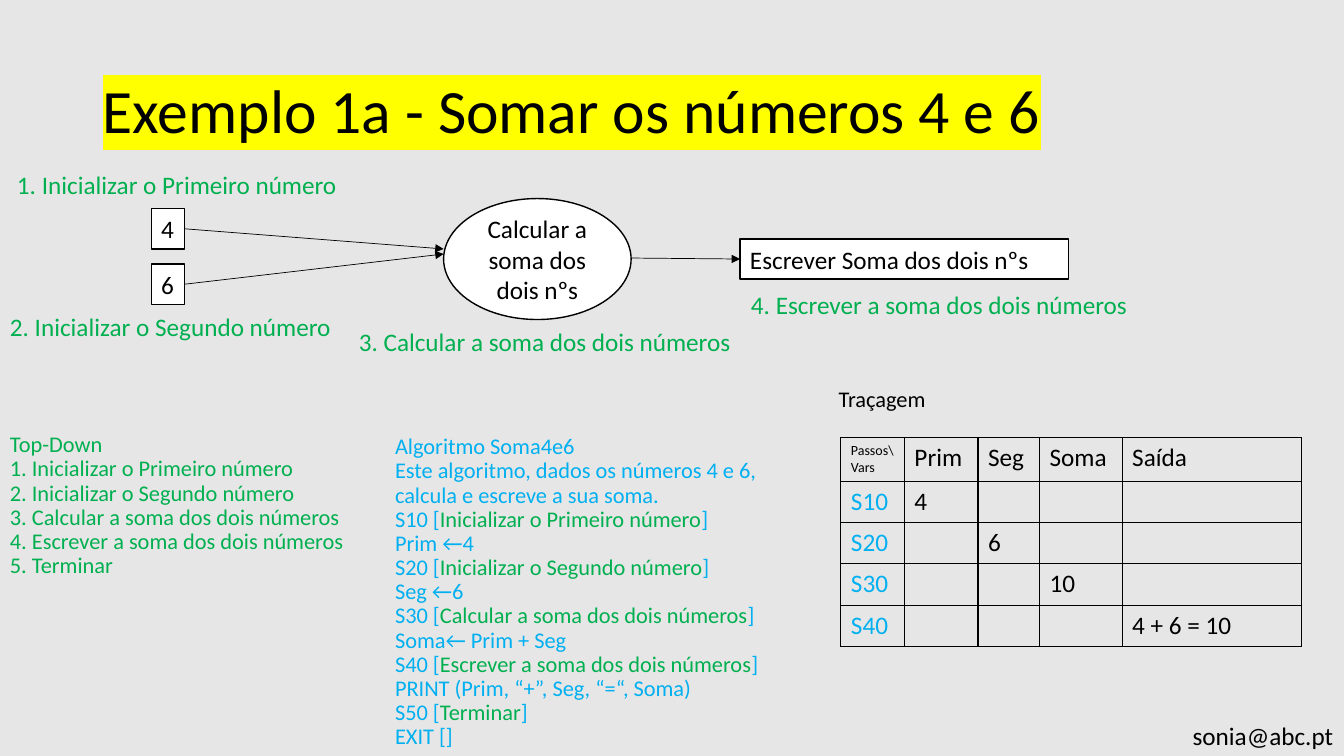
from dataclasses import dataclass
from lxml import etree
from pptx import Presentation, util as u
from pptx.dml.color import RGBColor
from pptx.enum import shapes, text
from pptx.oxml import ns


@dataclass(frozen=True)
class Theme:
    font: str = "Calibri"
    background: str = "E7E6E6"
    black: str = "000000"
    white: str = "FFFFFF"
    green: str = "00B050"
    blue: str = "00B0F0"
    yellow: str = "FFFF00"
    title: int = 44
    normal: int = 18
    small: int = 16
    tiny: int = 10


THEME = Theme()
WIDTH, HEIGHT = 13.33, 7.5


def add_xml(parent, tag, **attributes):
    return etree.SubElement(parent, ns.qn(tag), attributes)


def write(frame, paragraphs, size=THEME.normal, color=THEME.black, align=text.PP_ALIGN.LEFT,
          spacing=None, before=None, highlight=None):
    """Fill a frame; a paragraph is a string or a list of (string, color) runs."""
    for index, content in enumerate(paragraphs):
        paragraph = frame.add_paragraph() if index else frame.paragraphs[0]
        paragraph.alignment = align
        if spacing:
            paragraph.line_spacing = spacing
        if before is not None:
            paragraph.space_before = u.Pt(before)
        runs = [(content, color)] if isinstance(content, str) else content
        for words, run_color in runs:
            run = paragraph.add_run()
            run.text = words
            run.font.size = u.Pt(size)
            run.font.color.rgb = RGBColor.from_string(run_color)
            if highlight:
                mark = add_xml(run.font._element, "a:highlight")
                add_xml(mark, "a:srgbClr", val=highlight)
            run.font.name = THEME.font


class SlideBuilder:
    def __init__(self, slide, theme):
        self.slide, self.theme = slide, theme
        fill = slide.background.fill
        fill.solid()
        fill.fore_color.rgb = RGBColor.from_string(theme.background)

    def title(self, words, left, top, width, height):
        shape = self.slide.shapes.title
        shape.left, shape.top = u.Inches(left), u.Inches(top)
        shape.width, shape.height = u.Inches(width), u.Inches(height)
        shape.text_frame.vertical_anchor = text.MSO_ANCHOR.MIDDLE
        write(shape.text_frame, [words], size=self.theme.title, spacing=0.9,
              highlight=self.theme.yellow)

    def text_box(self, paragraphs, left, top, width, height, wrap=True, **style):
        # Boxes end at the slide edge
        width, height = min(width, WIDTH - left), min(height, HEIGHT - top)
        box = self.slide.shapes.add_textbox(*map(u.Inches, (left, top, width, height)))
        box.text_frame.word_wrap = wrap
        write(box.text_frame, paragraphs, **style)

    def node(self, kind, words, left, top, width, height, wrap=True,
             anchor=text.MSO_ANCHOR.TOP, **style):
        shape = self.slide.shapes.add_shape(kind, *map(u.Inches, (left, top, width, height)))
        shape.shadow.inherit = False
        shape.fill.solid()
        shape.fill.fore_color.rgb = RGBColor.from_string(self.theme.white)
        shape.line.color.rgb = RGBColor.from_string(self.theme.black)
        shape.line.width = u.Pt(1)
        shape.text_frame.word_wrap = wrap
        shape.text_frame.vertical_anchor = anchor
        write(shape.text_frame, [words], **style)

    def arrow(self, start, end):
        line = self.slide.shapes.add_connector(
            shapes.MSO_CONNECTOR.STRAIGHT, *map(u.Inches, (*start, *end)))
        line.line.color.rgb = RGBColor.from_string(self.theme.black)
        line.line.width = u.Pt(0.5)
        add_xml(line.line._get_or_add_ln(), "a:tailEnd", type="triangle")
        add_xml(line._element.spPr, "a:effectLst")

    def border(self, cell):
        properties = cell._tc.get_or_add_tcPr()
        for side in "LRTB":
            edge = add_xml(properties, f"a:ln{side}", w=str(u.Pt(1)))
            add_xml(add_xml(edge, "a:solidFill"), "a:srgbClr", val=self.theme.black)

    def table(self, rows, left, top, column_widths, row_height):
        table = self.slide.shapes.add_table(
            len(rows), len(column_widths), u.Inches(left), u.Inches(top),
            u.Inches(sum(column_widths)), u.Inches(row_height * len(rows))).table
        table.first_row = table.horz_banding = False
        for column, width in zip(table.columns, column_widths):
            column.width = u.Inches(width)
        for i, row in enumerate(rows):
            table.rows[i].height = u.Inches(row_height)
            for j, words in enumerate(row):
                cell = table.cell(i, j)
                self.border(cell)
                cell.fill.background()
                if words:
                    write(cell.text_frame, [words],
                          size=self.theme.tiny if i == j == 0 else self.theme.normal,
                          color=self.theme.blue if i and j == 0 else self.theme.black)


def main():
    presentation = Presentation()
    presentation.slide_width, presentation.slide_height = u.Inches(WIDTH), u.Inches(HEIGHT)
    builder = SlideBuilder(presentation.slides.add_slide(presentation.slide_layouts[5]), THEME)
    steps = ["Inicializar o Primeiro número", "Inicializar o Segundo número",
             "Calcular a soma dos dois números", "Escrever a soma dos dois números", "Terminar"]
    numbered = [f"{number}. {step}" for number, step in enumerate(steps, 1)]

    # Contact and title
    builder.text_box(["sonia@abc.pt"], 11.73, 7.1, 1.6, 0.4, wrap=False)
    builder.title("Exemplo 1a - Somar os números 4 e 6", 0.92, 0.4, 11.5, 1.45)

    # Flow diagram
    rectangle, oval = shapes.MSO_SHAPE.RECTANGLE, shapes.MSO_SHAPE.OVAL
    for number, top, target in (("4", 2.07, 2.47), ("6", 2.62, 2.52)):
        builder.node(rectangle, number, 1.5, top, 0.33, 0.4, wrap=False)
        builder.arrow((1.83, top + 0.2), (4.4, target))
    builder.node(oval, "Calcular a soma dos dois nºs", 4.4, 1.97, 1.86, 1.2,
                 anchor=text.MSO_ANCHOR.MIDDLE, align=text.PP_ALIGN.CENTER)
    builder.node(rectangle, "Escrever Soma dos dois nºs", 7.34, 2.37, 3.26, 0.4)
    builder.arrow((6.26, 2.56), (7.34, 2.57))

    # Step labels around the diagram
    places = [(0.07, 1.63), (0, 3.04), (3.46, 3.19), (7.35, 2.82)]
    for label, (left, top) in zip(numbered, places):
        builder.text_box([label], left, top, 6.69, 0.4, color=THEME.green)

    # Top-down list
    builder.text_box(["Top-Down", *numbered], 0, 4.25, 3.66, 4.76,
                     size=THEME.small, color=THEME.green, spacing=0.9)

    # Algorithm: each step is followed by its instruction
    algorithm = ["Algoritmo Soma4e6", "Este algoritmo, dados os números 4 e 6,",
                 "calcula e escreve a sua soma."]
    instructions = ["Prim ←4", "Seg ←6", "Soma← Prim + Seg",
                    "PRINT (Prim, “+”, Seg, “=“, Soma)", "EXIT []"]
    for number, (step, instruction) in enumerate(zip(steps, instructions), 1):
        algorithm += [[(f"S{number}0 [", THEME.blue), (step, THEME.green), ("]", THEME.blue)],
                      instruction]
    builder.text_box(algorithm, 3.82, 4.27, 4.03, 4.76,
                     size=THEME.small, color=THEME.blue, spacing=0.9)

    # Trace table: one value per step, along the diagonal
    builder.text_box(["Traçagem"], 8.22, 3.8, 4.03, 0.5,
                     size=THEME.small, spacing=0.9, before=10)
    rows = [["Passos\\Vars", "Prim", "Seg", "Soma", "Saída"]]
    for index, value in enumerate(["4", "6", "10", "4 + 6 = 10"]):
        row = [f"S{index + 1}0", "", "", "", ""]
        row[index + 1] = value
        rows.append(row)
    builder.table(rows, 8.34, 4.34, [0.63, 0.73, 0.61, 0.82, 1.78], 0.41)

    presentation.save("out.pptx")


if __name__ == "__main__":
    main()
